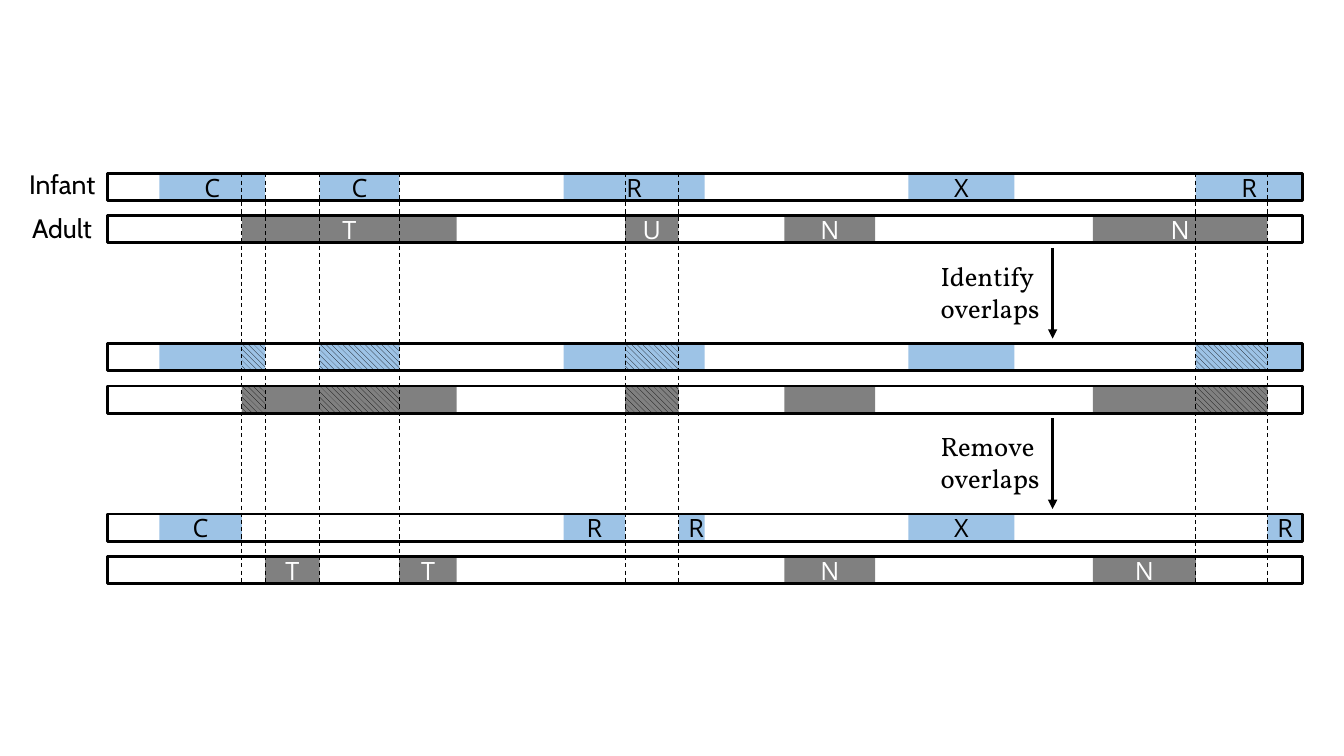
from dataclasses import dataclass

from lxml.etree import SubElement
from pptx import Presentation
from pptx.dml.color import RGBColor
from pptx.enum.dml import MSO_LINE, MSO_PATTERN
from pptx.enum.shapes import MSO_CONNECTOR, MSO_SHAPE
from pptx.enum.text import MSO_ANCHOR, MSO_AUTO_SIZE, PP_ALIGN
from pptx.oxml.ns import qn
from pptx.util import Inches, Pt


@dataclass(frozen=True)
class Theme:
    ink: RGBColor = RGBColor(0, 0, 0)
    paper: RGBColor = RGBColor(0xFF, 0xFF, 0xFF)
    infant: RGBColor = RGBColor(0x9D, 0xC3, 0xE6)
    adult: RGBColor = RGBColor(0x80, 0x80, 0x80)
    code_font: str = "Open Sans"
    label_font: str = "Cabin"
    step_font: str = "Vollkorn"
    code_size: Pt = Pt(18)
    label_size: Pt = Pt(19)
    frame_width: Pt = Pt(2)
    arrow_width: Pt = Pt(2.25)
    guide_width: Pt = Pt(0.75)


def apply(obj, **fmt):
    for name, value in fmt.items():
        setattr(obj, name, value)


class Canvas:
    """Draws each kind of element on the current slide in one theme."""

    def __init__(self, slide, theme):
        self.s, self.theme = slide, theme

    def rect(self, left, top, width, height):
        sp = self.s.shapes.add_shape(
            MSO_SHAPE.RECTANGLE, *map(Inches, (left, top, width, height)))
        sp.shadow.inherit = False
        return sp

    def segment(self, start, end, top, fill, code="", color=None, hatched=False):
        sp = self.rect(start, top, end - start, BAR_H)
        sp.line.fill.background()
        if hatched:
            sp.fill.patterned()
            sp.fill.pattern = MSO_PATTERN.WIDE_DOWNWARD_DIAGONAL
            sp.fill.fore_color.rgb = self.theme.ink
            sp.fill.back_color.rgb = fill
        else:
            sp.fill.solid()
            sp.fill.fore_color.rgb = fill
        if code:
            tf = sp.text_frame
            tf.vertical_anchor = MSO_ANCHOR.MIDDLE
            p = tf.paragraphs[0]
            p.alignment = PP_ALIGN.CENTER
            self.run(p, code, color, name=self.theme.code_font,
                     size=self.theme.code_size)

    def frame(self, top):
        sp = self.rect(BAR_LEFT, top, BAR_RIGHT - BAR_LEFT, BAR_H)
        sp.fill.background()
        sp.line.color.rgb = self.theme.ink
        sp.line.width = self.theme.frame_width

    def run(self, p, text, color, **font):
        r = p.add_run()
        r.text = text
        apply(r.font, **font)
        r.font.color.rgb = color

    def text(self, left, top, width, height, lines, font):
        tb = self.s.shapes.add_textbox(*map(Inches, (left, top, width, height)))
        tf = tb.text_frame
        apply(tf, word_wrap=False, auto_size=MSO_AUTO_SIZE.SHAPE_TO_FIT_TEXT)
        for i, line in enumerate(lines):
            p = tf.add_paragraph() if i else tf.paragraphs[0]
            self.run(p, line, self.theme.ink, name=font, size=self.theme.label_size)

    def vertical(self, x, top, bottom, arrow=False, **fmt):
        cx = self.s.shapes.add_connector(
            MSO_CONNECTOR.STRAIGHT, *map(Inches, (x, top, x, bottom)))
        cx.line.color.rgb = self.theme.ink
        apply(cx.line, **fmt)
        if arrow:
            SubElement(cx.line._get_or_add_ln(), qn("a:tailEnd"), type="triangle")
        SubElement(cx._element.spPr, qn("a:effectLst"))


# Layout
BAR_LEFT, BAR_RIGHT, BAR_H = 1.07, 12.92, 0.27
FIRST_TOP, STAGE_PITCH, ROW_PITCH = 1.72, 1.69, 0.42
ARROW_X = 10.44

# Coded stretches: start, end, code
INFANT = [(1.58, 2.63, "C"), (3.17, 3.96, "C"), (5.59, 6.99, "R"),
          (9.01, 10.06, "X"), (11.86, 12.92, "R")]
ADULT = [(2.4, 4.53, "T"), (6.2, 6.73, "U"), (7.78, 8.68, "N"),
         (10.84, 12.57, "N")]
OVERLAPS = [(max(a, c), min(b, d)) for a, b, _ in INFANT for c, d, _ in ADULT
            if max(a, c) < min(b, d)]


def without_overlaps(stretches):
    """Cut every overlap out of the stretches."""
    rest = []
    for start, end, code in stretches:
        for a, b in OVERLAPS:
            if start <= a and b <= end:
                if start < a:
                    rest.append((start, a, code))
                start = b
        if start < end:
            rest.append((start, end, code))
    return rest


def main():
    prs = Presentation()
    apply(prs, slide_width=Inches(13.33), slide_height=Inches(7.5))
    theme = Theme()
    c = Canvas(prs.slides.add_slide(prs.slide_layouts[6]), theme)

    speakers = [(INFANT, theme.infant, theme.ink), (ADULT, theme.adult, theme.paper)]
    stages = [FIRST_TOP + i * STAGE_PITCH for i in range(3)]

    # Bars: coded, overlaps hatched, overlaps removed
    for stage, stage_top in enumerate(stages):
        for row, (stretches, fill, color) in enumerate(speakers):
            top = stage_top + row * ROW_PITCH
            shown = without_overlaps(stretches) if stage == 2 else stretches
            for start, end, code in shown:
                c.segment(start, end, top, fill, "" if stage == 1 else code, color)
            if stage == 1:
                for start, end in OVERLAPS:
                    c.segment(start, end, top, fill, hatched=True)
            c.frame(top)

    # Dashed guides at the overlap edges
    bottom = stages[-1] + ROW_PITCH + BAR_H
    for overlap in OVERLAPS:
        for x in overlap:
            c.vertical(x, FIRST_TOP, bottom, width=theme.guide_width,
                       dash_style=MSO_LINE.DASH)

    # Speaker labels
    c.text(0.19, 1.62, 0.88, 0.42, ["Infant"], theme.label_font)
    c.text(0.22, 2.05, 0.81, 0.42, ["Adult"], theme.label_font)

    # Steps between the stages
    for top, verb in zip(stages, ["Identify", "Remove"]):
        c.vertical(ARROW_X, top + 0.74, top + 1.64, arrow=True,
                   width=theme.arrow_width)
        c.text(9.23, top + 0.81, 1.22, 0.74, [verb, "overlaps"], theme.step_font)

    prs.save("out.pptx")


if __name__ == "__main__":
    main()
